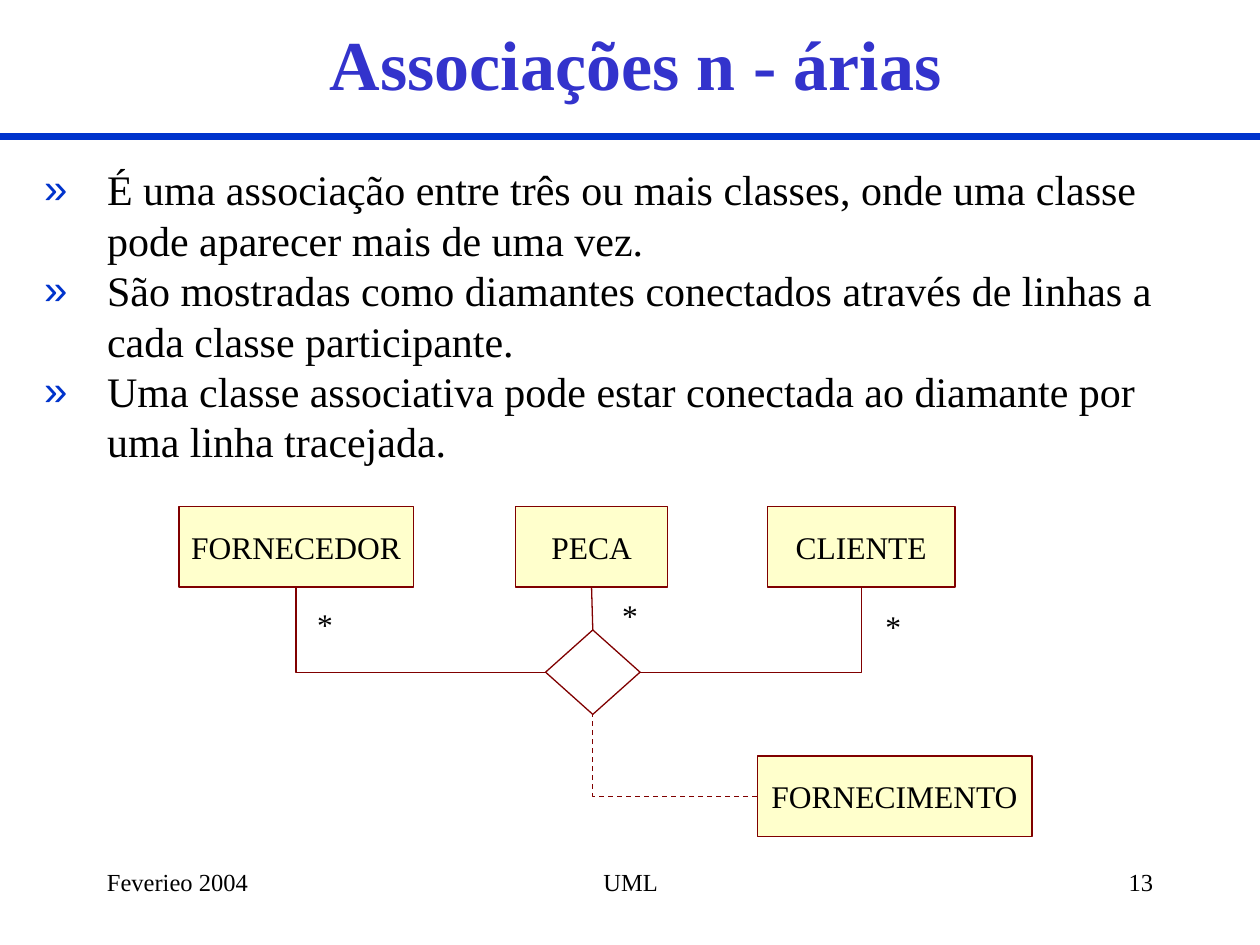
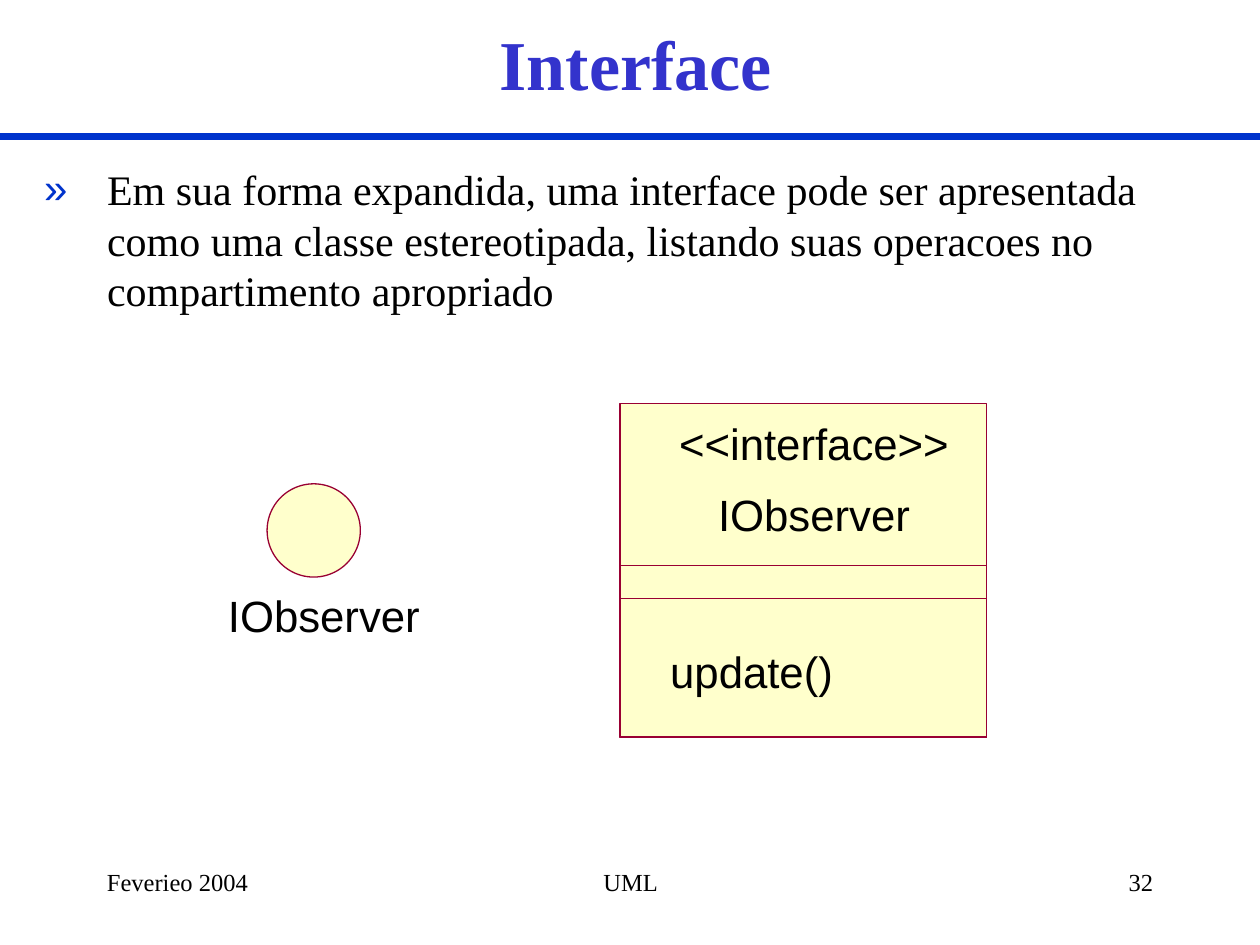
from lxml import etree
from pptx import Presentation
from pptx import util as u
from pptx.dml.color import RGBColor
from pptx.enum import dml, shapes, text
from pptx.oxml.ns import qn

COLORS = {"title": "3333CC", "accent": "0033CC", "text": "000000",
          "box": "FFFFCC", "relation": "800000", "outline": "990033"}
SERIF = "Times New Roman"
SANS = "Arial"
LEFT, CENTER, RIGHT = text.PP_ALIGN.LEFT, text.PP_ALIGN.CENTER, text.PP_ALIGN.RIGHT
TOP, MIDDLE = text.MSO_ANCHOR.TOP, text.MSO_ANCHOR.MIDDLE


def rgb(name):
    return RGBColor.from_string(COLORS[name])


def place(sp, box):
    sp.left, sp.top, sp.width, sp.height = [u.Inches(v) for v in box]


def write(sp, content, size, font=SERIF, align=CENTER, anchor=TOP,
          color="text", bold=False, wrap=True, inset=True):
    tf = sp.text_frame
    tf.text = content
    tf.word_wrap = wrap
    tf.auto_size = text.MSO_AUTO_SIZE.NONE
    tf.vertical_anchor = anchor
    tf.margin_left = tf.margin_right = u.Inches(0.1 if inset else 0)
    tf.margin_top = tf.margin_bottom = u.Inches(0.05 if inset else 0)
    for p in tf.paragraphs:
        p.alignment = align
        p.space_before = u.Pt(0)
        for r in p.runs:
            r.font.size = u.Pt(size)
            r.font.name = font
            r.font.bold = bold
            r.font.color.rgb = rgb(color)


def add_bullet(p):
    pPr = p._p.get_or_add_pPr()
    pPr.set("marL", str(u.Inches(0.5)))
    pPr.set("indent", str(u.Inches(-0.5)))
    clr = etree.SubElement(pPr, qn("a:buClr"))
    etree.SubElement(clr, qn("a:srgbClr"), val=COLORS["accent"])
    etree.SubElement(pPr, qn("a:buFont"), typeface=SANS)
    etree.SubElement(pPr, qn("a:buChar"), char="»")


def add_label(s, content, box, size, **style):
    sp = s.shapes.add_textbox(*[u.Inches(v) for v in box])
    write(sp, content, size, **style)


def add_box(s, kind, box, line, width, fill=None):
    sp = s.shapes.add_shape(kind, *[u.Inches(v) for v in box])
    sp.shadow.inherit = False
    if fill:
        sp.fill.solid()
        sp.fill.fore_color.rgb = rgb(fill)
    else:
        sp.fill.background()
    sp.line.color.rgb = rgb(line)
    sp.line.width = u.Pt(width)
    return sp


def add_class(s, name, box):
    sp = add_box(s, shapes.MSO_SHAPE.RECTANGLE, box, "relation", 0.75, "box")
    write(sp, name, 18, anchor=MIDDLE, wrap=False)
    return sp


def add_line(s, kind, ends, color, width):
    cx = s.shapes.add_connector(kind, *[u.Inches(v) for v in ends])
    cx.line.color.rgb = rgb(color)
    cx.line.width = u.Pt(width)
    etree.SubElement(cx._element.spPr, qn("a:effectLst"))
    return cx


def join(s, start, start_site, end, end_site, elbow=True, dashed=False):
    kind = shapes.MSO_CONNECTOR.ELBOW if elbow else shapes.MSO_CONNECTOR.STRAIGHT
    cx = add_line(s, kind, (0, 0, 1, 1), "relation", 0.75)
    cx.begin_connect(start, start_site)
    cx.end_connect(end, end_site)
    if elbow:
        cx._element.spPr.find(qn("a:prstGeom")).set("prst", "bentConnector2")
    if dashed:
        cx.line.dash_style = dml.MSO_LINE.DASH


def add_page(prs, title, bullets, body_height, number):
    s = prs.slides.add_slide(prs.slide_layouts[1])
    place(s.shapes.title, (0.42, 0, 9.25, 1))
    write(s.shapes.title, title, 40, anchor=MIDDLE, color="title", bold=True)
    add_line(s, shapes.MSO_CONNECTOR.STRAIGHT, (0, 1.08, 10, 1.08), "accent", 4)
    body = s.placeholders[1]
    place(body, (0.25, 1.25, 9.42, body_height))
    write(body, "\n".join(bullets), 24, align=LEFT)
    for p in body.text_frame.paragraphs:
        add_bullet(p)
    footers = [("Feverieo 2004", 0.75, 2.08, LEFT), ("UML", 3.42, 3.17, CENTER),
               (str(number), 7.17, 2.08, RIGHT)]
    for content, left, width, align in footers:
        add_label(s, content, (left, 6.83, width, 0.5), 14, align=align)
    return s


def add_association(s):
    supplier = add_class(s, "FORNECEDOR", (1.42, 4.02, 1.86, 0.64))
    part = add_class(s, "PECA", (4.09, 4.02, 1.21, 0.64))
    client = add_class(s, "CLIENTE", (6.09, 4.02, 1.49, 0.64))
    supply = add_class(s, "FORNECIMENTO", (6.01, 6, 2.18, 0.64))
    diamond = add_box(s, shapes.MSO_SHAPE.DIAMOND, (4.33, 5, 0.75, 0.67), "relation", 0.75)
    join(s, diamond, 1, supplier, 2)
    join(s, diamond, 3, client, 2)
    join(s, diamond, 0, part, 2, elbow=False)
    join(s, supply, 1, diamond, 2, dashed=True)
    for left, top in [(2.42, 4.75), (4.84, 4.68), (6.93, 4.77)]:
        add_label(s, "*", (left, top, 0.32, 0.4), 18, wrap=False)


def add_interface(s):
    add_box(s, shapes.MSO_SHAPE.OVAL, (2.12, 3.84, 0.74, 0.74), "outline", 0, "box")
    bottom = 5.85
    for top, fill in [(3.2, "box"), (4.49, None), (4.75, None)]:
        add_box(s, shapes.MSO_SHAPE.RECTANGLE, (4.92, top, 2.91, bottom - top),
                "outline", 0, fill)
    labels = [("IObserver", 1.81, 4.67, 1.52), ("<<interface>>", 5.39, 3.31, 2.14),
              ("IObserver", 5.7, 3.87, 1.52), ("update()", 5.32, 5.12, 1.29)]
    for content, left, top, width in labels:
        add_label(s, content, (left, top, width, 0.42), 25, font=SANS,
                  wrap=False, inset=False)


def main():
    prs = Presentation()
    prs.slide_width, prs.slide_height = u.Inches(10), u.Inches(7.5)
    add_association(add_page(prs, "Associações n - árias", [
        "É uma associação entre três ou mais classes, onde uma classe pode aparecer mais de uma vez.",
        "São mostradas como diamantes conectados através de linhas a cada classe participante.",
        "Uma classe associativa pode estar conectada ao diamante por uma linha tracejada.",
    ], 1.5, 13))
    add_interface(add_page(prs, "Interface", [
        "Em sua forma expandida, uma interface pode ser apresentada como uma classe "
        "estereotipada, listando suas operacoes no compartimento apropriado",
    ], 1.17, 32))
    prs.save("out.pptx")


if __name__ == "__main__":
    main()
